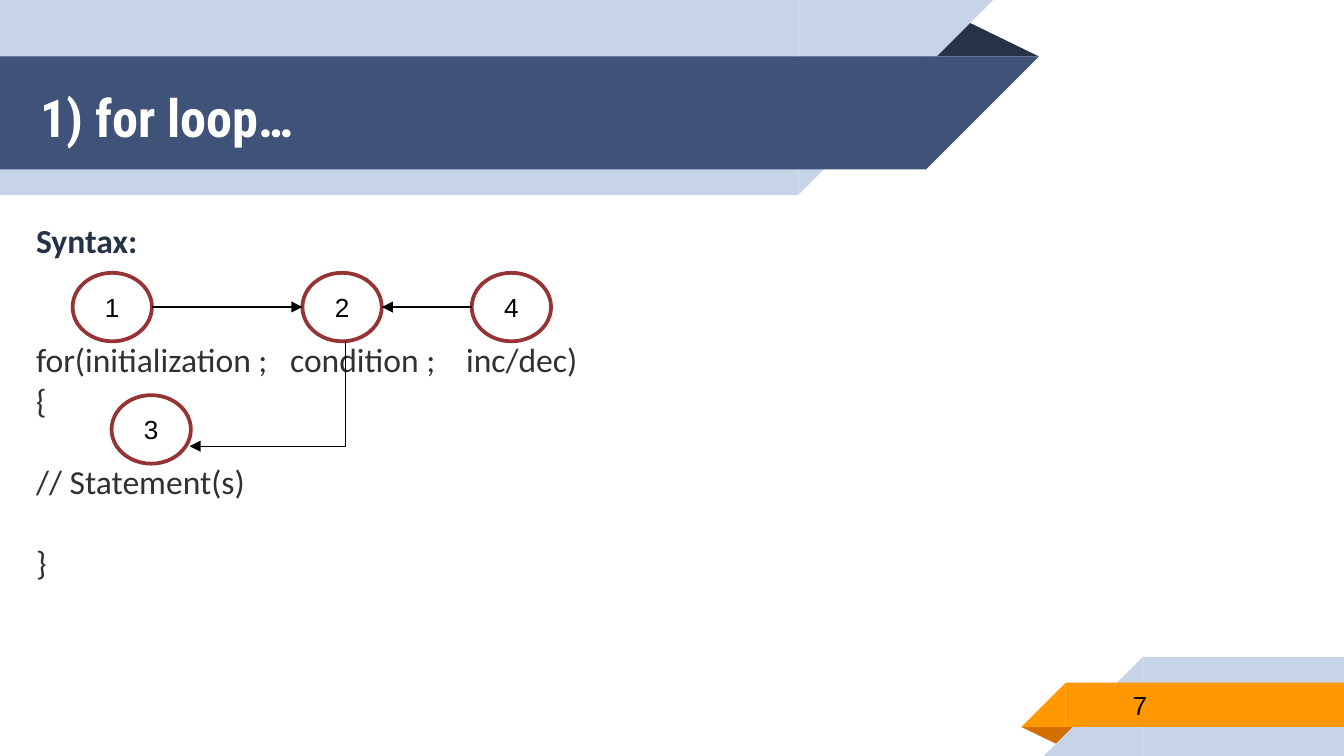
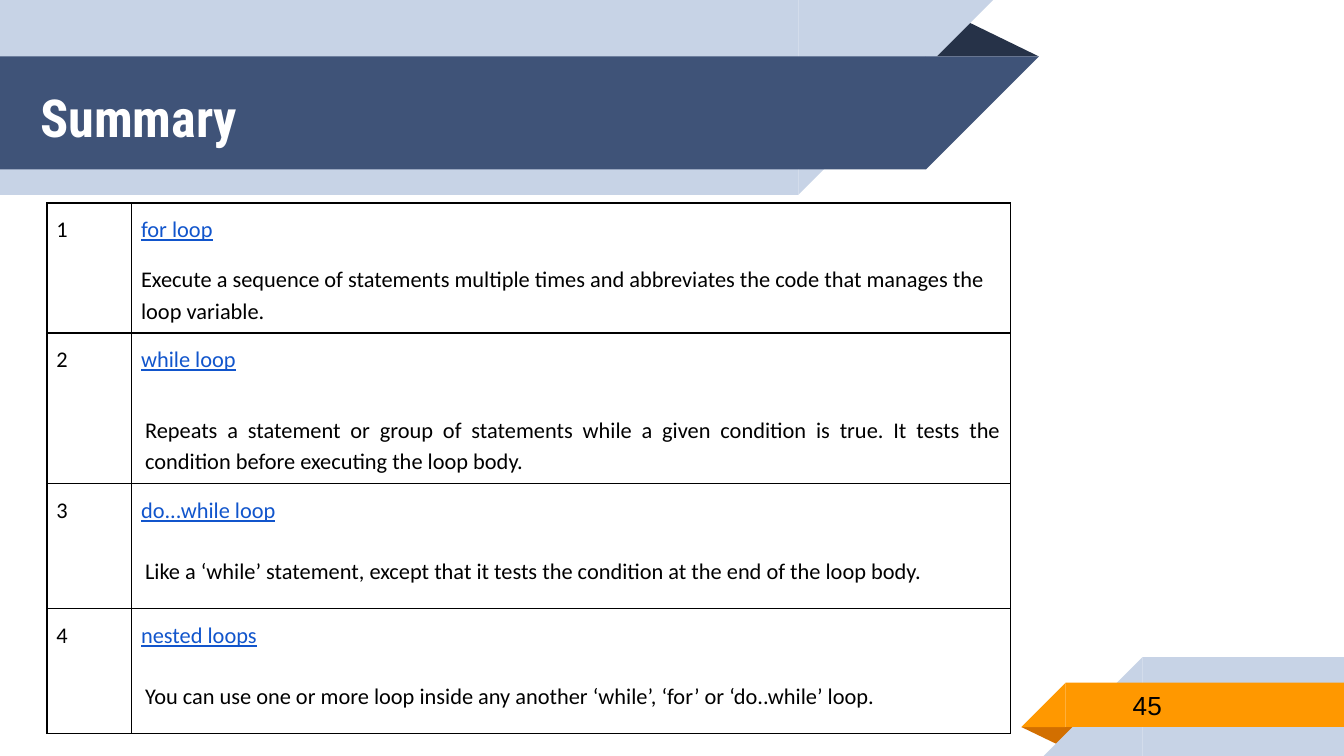
from pptx import Presentation
from pptx.dml.color import RGBColor
from pptx.enum.shapes import MSO_CONNECTOR, MSO_SHAPE
from pptx.enum.text import MSO_ANCHOR, PP_ALIGN
from pptx.oxml import parse_xml
from pptx.oxml.ns import nsdecls, qn
from pptx.util import Inches, Pt

RECT, WEDGE = MSO_SHAPE.RECTANGLE, MSO_SHAPE.RIGHT_TRIANGLE
FOLD, OVAL = MSO_SHAPE.ISOSCELES_TRIANGLE, MSO_SHAPE.OVAL
LINE, ELBOW = MSO_CONNECTOR.STRAIGHT, MSO_CONNECTOR.ELBOW
TOP, MIDDLE = MSO_ANCHOR.TOP, MSO_ANCHOR.MIDDLE
CENTER, JUSTIFY = PP_ALIGN.CENTER, PP_ALIGN.JUSTIFY

WHITE = RGBColor(0xFF, 0xFF, 0xFF)
BLACK = RGBColor(0, 0, 0)
NAVY = RGBColor(0x26, 0x32, 0x48)
BLUE = RGBColor(0x3F, 0x53, 0x78)
PALE = RGBColor(0xC7, 0xD3, 0xE6)
ORANGE = RGBColor(0xFF, 0x98, 0x00)
RUST = RGBColor(0xD2, 0x6F, 0x00)
GRAY = RGBColor(0x31, 0x31, 0x31)
RED = RGBColor(0x96, 0x33, 0x34)
AZURE = RGBColor(0x11, 0x55, 0xCC)

COLS, ROWS = 100, 56.25
CELL = Inches(10) / COLS

HEAD = dict(name="Roboto Condensed", size=Pt(28), bold=True, color=WHITE)
LABEL = dict(name="Arial", size=Pt(14), color=BLACK)
CODE = dict(name="Calibri", size=Pt(18), bold=False, color=GRAY)
LEAD = dict(CODE, bold=True, color=NAVY)
PLAIN = dict(name="Calibri", size=Pt(12), color=BLACK)
TOPIC = dict(PLAIN, underline=True, color=AZURE)

SPACED = dict(line_spacing=1.15, space_after=Pt(10))
WIDE = dict(SPACED, space_after=Pt(15))
BLOCK = dict(line_spacing=1.15, space_before=Pt(6), space_after=Pt(7.2),
             alignment=JUSTIFY)
SKIP = dict(space_before=Pt(22))

TABS = (18.9, 32)
SYNTAX = [
    ("Syntax:", LEAD, dict(space_after=Pt(10))),
    ("for(initialization ;\tcondition ;\tinc/dec)", CODE, dict(space_before=Pt(32))),
    ("{", CODE, {}),
    ("// Statement(s)", CODE, SKIP),
    ("}", CODE, SKIP),
]
STEPS = {"1": (0, 0), "2": (17.1, 0), "3": (2.9, 9.1), "4": (29.7, 0)}
LOOPS = [
    ("for loop", SPACED, WIDE,
     "Execute a sequence of statements multiple times and abbreviates "
     "the code that manages the loop variable."),
    ("while loop", WIDE, BLOCK,
     "Repeats a statement or group of statements while a given condition "
     "is true. It tests the condition before executing the loop body."),
    ("do...while loop", SPACED, BLOCK,
     "Like a ‘while’ statement, except that it tests the condition "
     "at the end of the loop body."),
    ("nested loops", SPACED, BLOCK,
     "You can use one or more loop inside any another ‘while’, ‘for’ "
     "or ‘do..while’ loop."),
]


def cells(*vals):
    return [round(val * CELL) for val in vals]


def inside(box, x, y, w, h):
    return box[0] + x, box[1] + y, w, h


def write(frame, lines):
    for i, (text, font, form) in enumerate(lines):
        para = frame.paragraphs[0] if i == 0 else frame.add_paragraph()
        for key, val in form.items():
            setattr(para, key, val)
        run = para.add_run()
        run.text = text
        for key, val in font.items():
            if key == "color":
                run.font.color.rgb = val
            else:
                setattr(run.font, key, val)


def put_text(slide, box, lines, anchor=MIDDLE):
    frame = slide.shapes.add_textbox(*cells(*box)).text_frame
    pad = Inches(0.1)
    form = dict(word_wrap=True, vertical_anchor=anchor, margin_left=pad,
                margin_right=pad, margin_top=pad, margin_bottom=pad)
    for key, val in form.items():
        setattr(frame, key, val)
    write(frame, lines)
    return frame


def put_shape(slide, kind, box, color, turn=0):
    shape = slide.shapes.add_shape(kind, *cells(*box))
    shape.shadow.inherit = False
    shape.fill.solid()
    shape.fill.fore_color.rgb = color
    shape.line.fill.background()
    shape.rotation = turn
    return shape


def put_fold(slide, box, color, turn=0):
    put_shape(slide, FOLD, box, color, turn).adjustments[0] = 0.324


def put_strip(slide, box, color, left=False):
    x, y, w, h = box
    put_shape(slide, RECT, box, color)
    put_shape(slide, WEDGE, (x - h if left else x + w, y, h, h), color,
              270 if left else 90)


def put_head(slide, box, title):
    put_fold(slide, inside(box, 68.8, 1.4, 8.5, 2.8), NAVY)
    put_strip(slide, inside(box, 0, 0, 59.4, 14.5), PALE)
    put_strip(slide, inside(box, 0, 4.2, 68.9, 8.4), BLUE)
    put_text(slide, inside(box, 2, 4.5, 60.1, 8.4), [(title, HEAD, {})])


def put_foot(slide, box, page):
    put_fold(slide, inside(box, 0, 5.2, 4.3, 1.4), RUST, 180)
    put_strip(slide, inside(box, 9, 0, 15, 7.35), PALE, True)
    put_strip(slide, inside(box, 3.3, 1.9, 20.7, 3.3), ORANGE, True)
    put_text(slide, inside(box, 7.3, 1.8, 16.3, 3.5), [(page, LABEL, {})])


def put_arrow(slide, box, start, end, bent=False):
    ax, ay, _, _ = inside(box, *start, 0, 0)
    bx, by, _, _ = inside(box, *end, 0, 0)
    if bent:
        mx, my = (ax + bx) / 2, (ay + by) / 2
        dx, dy = abs(by - ay) / 2, abs(bx - ax) / 2
        ax, ay, bx, by = mx - dx, my - dy, mx + dx, my + dy
    arrow = slide.shapes.add_connector(ELBOW if bent else LINE,
                                       *cells(ax, ay, bx, by))
    arrow.line.color.rgb = BLACK
    arrow.line.width = Pt(0.75)
    props = arrow._element.spPr
    if bent:
        props.find(qn("a:xfrm")).set("rot", "5400000")
        props.find(qn("a:prstGeom")).set("prst", "bentConnector2")
    props.find(qn("a:ln")).append(
        parse_xml(f'<a:tailEnd {nsdecls("a")} type="triangle"/>'))
    props.append(parse_xml(f'<a:effectLst {nsdecls("a")}/>'))


def put_code(slide, box):
    frame = put_text(slide, box, SYNTAX, TOP)
    stops = "".join(f'<a:tab pos="{pos}" algn="l"/>' for pos in cells(*TABS))
    frame.paragraphs[1]._p.get_or_add_pPr().append(
        parse_xml(f'<a:tabLst {nsdecls("a")}>{stops}</a:tabLst>'))


def put_flow(slide, box):
    wide, high = 5.9, 5.1
    for name, (x, y) in STEPS.items():
        step = put_shape(slide, OVAL, inside(box, x, y, wide, high), WHITE)
        step.line.color.rgb = RED
        step.line.width = Pt(2)
        step.text_frame.vertical_anchor = MIDDLE
        write(step.text_frame, [(name, LABEL, dict(alignment=CENTER))])
    mid, two, four = high / 2, STEPS["2"][0], STEPS["4"][0]
    put_arrow(slide, box, (wide, mid), (two, mid))
    put_arrow(slide, box, (20.3, high), (8.7, 12.9), True)
    put_arrow(slide, box, (four, mid), (two + wide, mid))


def frame_cell(cell):
    pad = Inches(0.07)
    for side in ("left", "right", "top", "bottom"):
        setattr(cell, f"margin_{side}", pad)
    cell.fill.background()
    props = cell._tc.get_or_add_tcPr()
    for i, side in enumerate("LRTB"):
        props.insert(i, parse_xml(
            f'<a:ln{side} {nsdecls("a")} w="{Pt(0.75)}"><a:solidFill>'
            f'<a:srgbClr val="{BLACK}"/></a:solidFill></a:ln{side}>'))


def put_table(slide, box):
    table = slide.shapes.add_table(len(LOOPS), 2, *cells(*box)).table
    table.first_row = table.horz_banding = False
    for col, size in zip(table.columns, cells(6.3, box[2] - 6.3)):
        col.width = size
    for row, size in zip(table.rows, cells(8.7, 9.9, 9.3, 9.3)):
        row.height = size
    for i, (name, gap, form, text) in enumerate(LOOPS):
        num, info = table.cell(i, 0), table.cell(i, 1)
        frame_cell(num)
        frame_cell(info)
        write(num.text_frame, [(str(i + 1), PLAIN, SPACED if i else WIDE)])
        write(info.text_frame, [(name, TOPIC, gap), (text, PLAIN, form)])
        if form is BLOCK:
            props = info.text_frame.paragraphs[1]._p.get_or_add_pPr()
            props.set("marL", str(Inches(0.03)))


def add_page(deck, title, page):
    slide = deck.slides.add_slide(deck.slide_layouts[6])
    put_head(slide, (0, 0, 77.3, 14.5), title)
    put_foot(slide, (76, 48.9, 24, 7.35), page)
    return slide


def main():
    deck = Presentation()
    deck.slide_width, deck.slide_height = cells(COLS, ROWS)
    syntax = add_page(deck, "1) for loop…", "7")
    put_code(syntax, (1.7, 15.4, 92.9, 40.6))
    put_flow(syntax, (5.4, 20.3, 35.6, 14.2))
    summary = add_page(deck, "Summary", "45")
    put_table(summary, (3.5, 15.1, 71.7, 37.2))
    deck.save("out.pptx")


if __name__ == "__main__":
    main()
